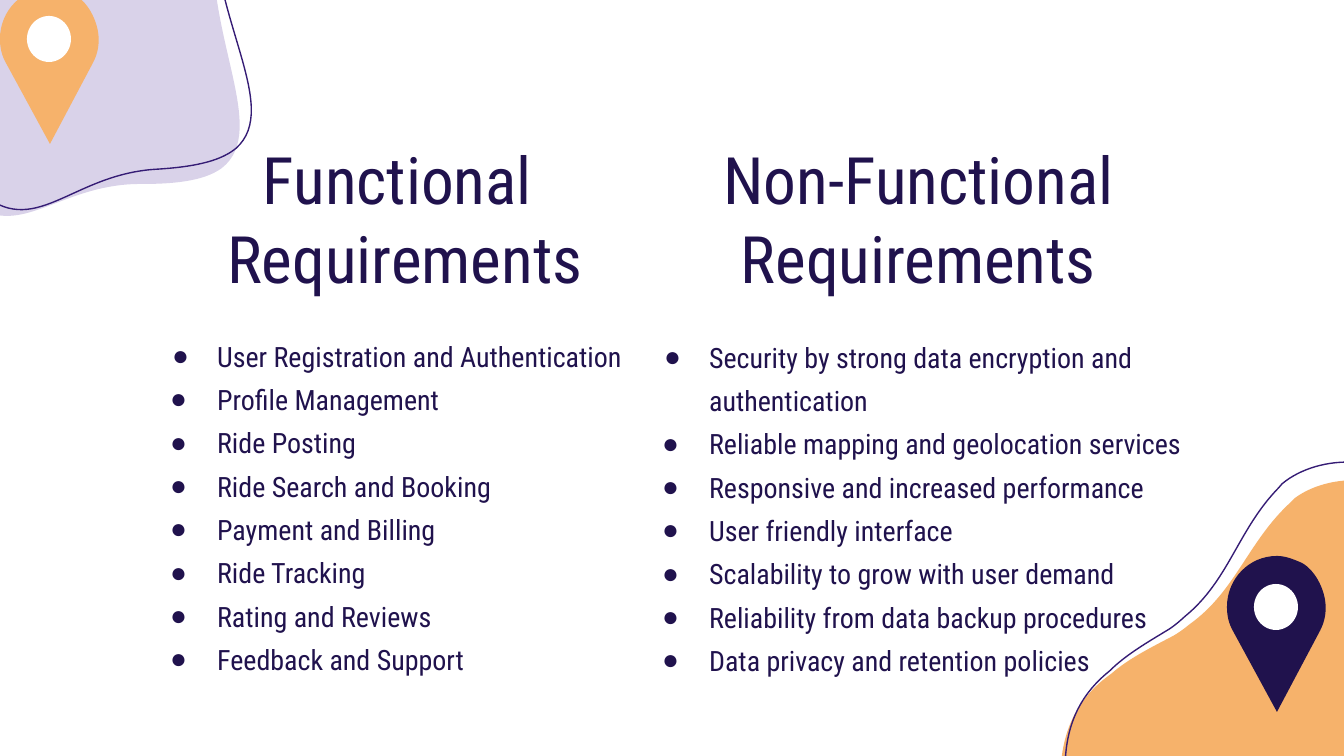
from math import cos, radians, sin

from lxml.etree import SubElement
from pptx import Presentation
from pptx.dml.color import RGBColor
from pptx.enum.shapes import MSO_SHAPE as Preset
from pptx.enum.text import MSO_ANCHOR as Anchor, PP_ALIGN as Align
from pptx.oxml.ns import qn
from pptx.util import Pt

PX = 914400 / 134.4

NAVY = RGBColor(0x20, 0x12, 0x4D)
PURPLE = RGBColor(0x35, 0x1C, 0x75)
LAVENDER = RGBColor(0xD9, 0xD2, 0xE9)
ORANGE = RGBColor(0xF6, 0xB2, 0x6B)
WHITE = RGBColor(0xFF, 0xFF, 0xFF)
FONT = "Roboto Condensed"
BULLET_FONT = "Arial"

BLOB_SIZE = (536, 391)
BLOB_CENTRE = (135, -12.5)
BLOB_ANGLE = 142.8
OUTLINE_ANGLE = 139.2
BLOB_SEGMENTS = [
    [(222, 168)],
    [(270, 130), (204, 35), (214, -71)],
    [(219, -129), (321, -168), (286, -238)],
    [(259, -292), (183, -294), (145, -266)],
    [(144, -265), (142, -263), (141, -262)],
    [(98, -223), (86, -173), (40, -140)],
    [(35, -136), (30, -132), (23, -128)],
    [(0, -116), (-22, -105), (-39, -90)],
    [(-66, -71), (-85, -44), (-89, -1)],
    [(-94, 47), (-74, 156), (-38, 194)],
    [(15, 249), (55, 183), (142, 184)],
    [(183, 184), (207, 179), (222, 168)],
]

PIN_SIZE = (100, 156)
PIN_SEGMENTS = [
    [(50, 0)],
    [(58, 0), (66, 3), (75, 7)],
    [(82, 11), (87, 17), (91, 24)],
    [(101, 42), (101, 60), (93, 75)],
    [(50, 156)],
    [(6, 75)],
    [(2, 68), (0, 60), (0, 51)],
    [(0, 23), (22, 0), (50, 0)],
]

FUNCTIONAL = [
    "User Registration and Authentication",
    "Profile Management",
    "Ride Posting",
    "Ride Search and Booking",
    "Payment and Billing",
    "Ride Tracking",
    "Rating and Reviews",
    "Feedback and Support",
]
NON_FUNCTIONAL = [
    "Security by strong data encryption and authentication",
    "Reliable mapping and geolocation services",
    "Responsive and increased performance",
    "User friendly interface",
    "Scalability to grow with user demand",
    "Reliability from data backup procedures",
    "Data privacy and retention policies",
]


def px(length):
    return round(length * PX)


def set_all(target, values):
    for name, value in values.items():
        setattr(target, name, value)


def level(point):
    angle = radians(-BLOB_ANGLE)
    x, y = (value - middle for value, middle in zip(point, BLOB_CENTRE))
    return (
        x * cos(angle) - y * sin(angle) + BLOB_SIZE[0] / 2,
        x * sin(angle) + y * cos(angle) + BLOB_SIZE[1] / 2,
    )


def paint(shape, fill=None, line=None):
    shape.shadow.inherit = False
    if fill is None:
        shape.fill.background()
    else:
        shape.fill.solid()
        shape.fill.fore_color.rgb = fill
    if line is None:
        shape.line.fill.background()
    else:
        shape.line.color.rgb = line
        shape.line.width = Pt(0.75)


def add_outline(slide, segments, left, top, size, angle=0, **colours):
    ends = [tuple(map(px, segment[-1])) for segment in segments]
    builder = slide.shapes.build_freeform(*ends[0])
    builder.add_line_segments(ends[1:], close=True)
    shape = builder.convert_to_shape()
    width, height = map(px, size)
    set_all(shape, {"left": px(left), "top": px(top), "width": width,
                    "height": height, "rotation": angle})

    route = next(shape._element.iter(qn("a:path")))
    for step in list(route):
        route.remove(step)
    set_all(route, {"w": width, "h": height})
    for index, segment in enumerate(segments):
        kind = "cubicBezTo" if len(segment) == 3 else "lnTo"
        step = SubElement(route, qn(f"a:{kind if index else 'moveTo'}"))
        for x, y in segment:
            SubElement(step, qn("a:pt"), x=str(px(x)), y=str(px(y)))
    SubElement(route, qn("a:close"))
    paint(shape, **colours)


def add_blob(slide, left, top, fill):
    segments = [[level(point) for point in segment] for segment in BLOB_SEGMENTS]
    add_outline(slide, segments, left, top, BLOB_SIZE, BLOB_ANGLE, fill=fill)
    add_outline(slide, segments, left + 3, top - 14, BLOB_SIZE, OUTLINE_ANGLE, line=PURPLE)


def add_pin(slide, left, top, fill):
    add_outline(slide, PIN_SEGMENTS, left, top, PIN_SIZE, fill=fill)
    eye = slide.shapes.add_shape(Preset.OVAL, px(left + 27), px(top + 28), px(44), px(46))
    paint(eye, fill=WHITE)


def add_text(slide, box, lines, size, **paragraph_format):
    frame = slide.shapes.add_textbox(*map(px, box)).text_frame
    set_all(frame, {"word_wrap": True, "vertical_anchor": Anchor.TOP})
    set_all(frame, {f"margin_{side}": Pt(7.2) for side in ("left", "top", "right", "bottom")})
    frame.text = "\n".join(lines)
    for paragraph in frame.paragraphs:
        set_all(paragraph, paragraph_format)
        for run in paragraph.runs:
            set_all(run.font, {"name": FONT, "size": Pt(size)})
            run.font.color.rgb = NAVY
    return frame.paragraphs


def add_title(slide, box, lines):
    add_text(slide, box, lines, 35, alignment=Align.CENTER)


def add_bullets(slide, box, items):
    paragraphs = add_text(slide, box, items, 15, alignment=Align.LEFT, line_spacing=1.29)
    for index, paragraph in enumerate(paragraphs):
        properties = paragraph._p.get_or_add_pPr()
        properties.set("marL", str(px(67)))
        properties.set("indent", str(-px(47 if index else 45)))
        colour = SubElement(properties, qn("a:buClr"))
        SubElement(colour, qn("a:srgbClr"), val=str(NAVY))
        SubElement(properties, qn("a:buFont"), typeface=BULLET_FONT)
        SubElement(properties, qn("a:buChar"), char="●")


def main():
    deck = Presentation()
    set_all(deck, {"slide_width": px(1344), "slide_height": px(756)})
    slide = deck.slides.add_slide(deck.slide_layouts[6])

    add_blob(slide, 1017, 556, ORANGE)
    add_blob(slide, -133, -208, LAVENDER)
    add_title(slide, (172, 126, 466, 163), ["Functional ", "Requirements"])
    add_bullets(slide, (137, 316, 525, 386), FUNCTIONAL)
    add_pin(slide, 0, -12, ORANGE)
    add_pin(slide, 1227, 556, NAVY)
    add_title(slide, (663, 126, 511, 163), ["Non-Functional Requirements"])
    add_bullets(slide, (629, 317, 579, 382), NON_FUNCTIONAL)

    deck.save("out.pptx")


if __name__ == "__main__":
    main()
